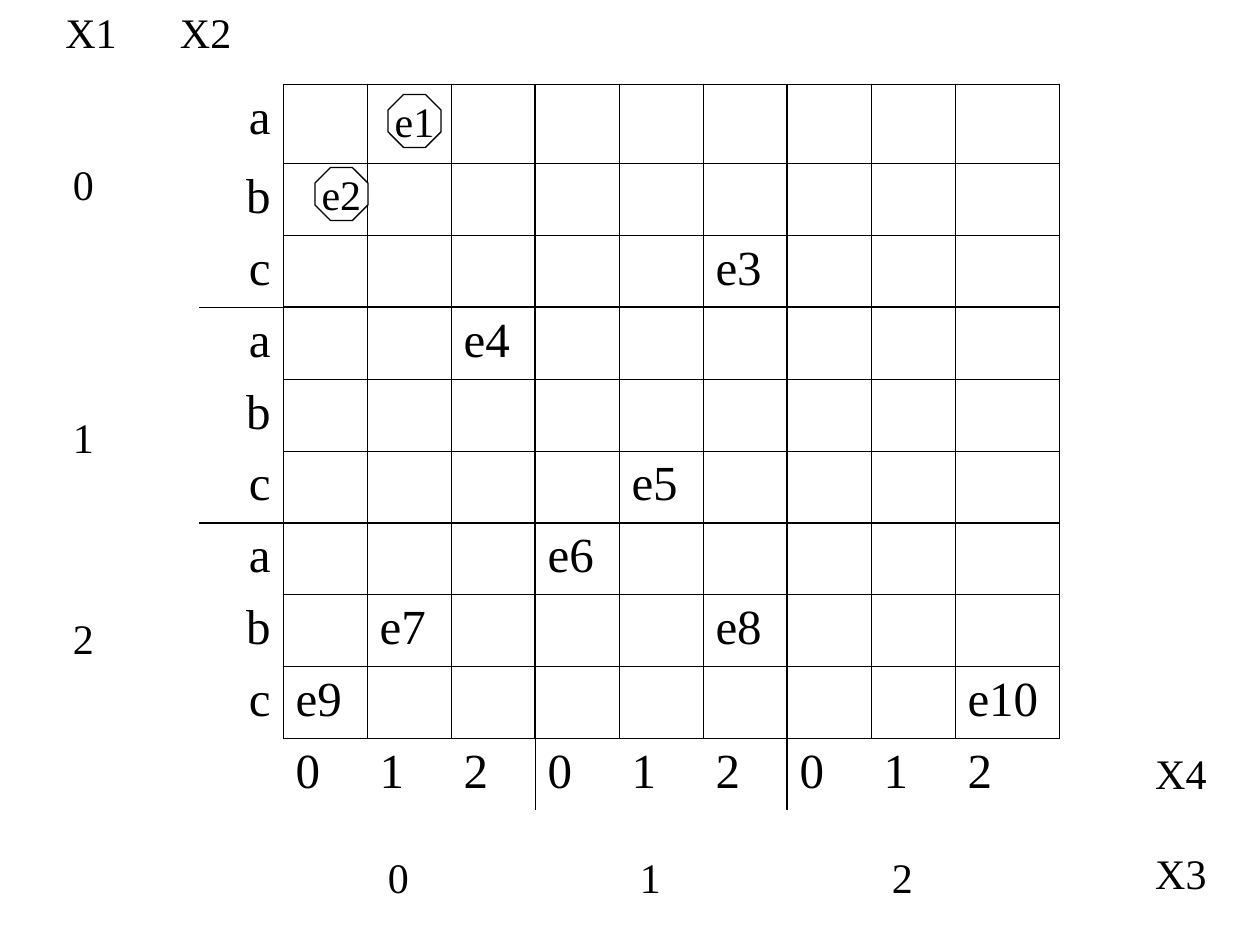
from lxml import etree
from pptx import Presentation
from pptx import util as u
from pptx.dml.color import RGBColor
from pptx.enum import shapes, text
from pptx.oxml import ns

COLORS = {"ink": "000000", "paper": "FFFFFF"}
FONT = {"name": "Times New Roman"}
LABEL = {**FONT, "size": u.Pt(24)}
ENTRY = {**FONT, "size": u.Pt(28)}
FLOATING = {"word_wrap": False, "auto_size": text.MSO_AUTO_SIZE.SHAPE_TO_FIT_TEXT}
FIXED = {"word_wrap": True, "auto_size": text.MSO_AUTO_SIZE.SHAPE_TO_FIT_TEXT}
CENTERED = {
    "word_wrap": False,
    "auto_size": text.MSO_AUTO_SIZE.NONE,
    "vertical_anchor": text.MSO_ANCHOR.MIDDLE,
}
SIZE = 10
THIN, MEDIUM, THICK = 0.45, 1.08, 1.47
EVENTS = {
    (2, 6): "e3", (3, 3): "e4", (5, 5): "e5", (6, 4): "e6",
    (7, 2): "e7", (7, 6): "e8", (8, 1): "e9", (8, 9): "e10",
}


def color(name):
    return RGBColor.from_string(COLORS[name])


def apply(target, values):
    for name, value in values.items():
        setattr(target, name, value)


def write(para, words, font):
    span = para.add_run()
    span.text = words
    apply(span.font, font)
    span.font.color.rgb = color("ink")


def vertical_width(row, edge):
    if edge == 0:
        return 0
    if row == SIZE - 1:
        return {4: THIN, 7: THICK}.get(edge, 0)
    return {4: THICK, 7: THICK, SIZE: MEDIUM}.get(edge, THIN)


def horizontal_width(edge, column):
    if column == 0:
        return {3: THIN, 6: THICK}.get(edge, 0)
    return {0: MEDIUM, 3: THICK, 6: THICK, SIZE: 0}.get(edge, THIN)


def set_border(cell, tag, points):
    properties = cell._tc.get_or_add_tcPr()
    line = etree.SubElement(properties, ns.qn(tag), w=str(int(u.Pt(points))))
    if points:
        fill = etree.SubElement(line, ns.qn("a:solidFill"))
        etree.SubElement(fill, ns.qn("a:srgbClr"), val=COLORS["ink"])
    else:
        etree.SubElement(line, ns.qn("a:noFill"))


def cell_text(row, column):
    if row == SIZE - 1:
        return str((column - 1) % 3) if column else ""
    if column == 0:
        return "abc"[row % 3]
    return EVENTS.get((row, column), "")


def fill_cell(cell, row, column):
    borders = {
        "a:lnL": vertical_width(row, column),
        "a:lnR": vertical_width(row, column + 1),
        "a:lnT": horizontal_width(row, column),
        "a:lnB": horizontal_width(row + 1, column),
    }
    for tag, points in borders.items():
        set_border(cell, tag, points)
    cell.fill.background()
    words = cell_text(row, column)
    if words:
        para = cell.text_frame.paragraphs[0]
        if column == 0:
            para.alignment = text.PP_ALIGN.RIGHT
        write(para, words, ENTRY)


def add_grid(page, left, top, width, height):
    table = page.shapes.add_table(SIZE, SIZE, left, top, width, height).table
    apply(table, {"first_row": False, "horz_banding": False})
    last_width, first_height = u.Inches(0.83), u.Inches(0.63)
    for column in table.columns:
        column.width = (width - last_width) // (SIZE - 1)
    table.columns[SIZE - 1].width = last_width
    for row in table.rows:
        row.height = (height - first_height) // (SIZE - 1)
    table.rows[0].height = first_height
    for row in range(SIZE):
        for column in range(SIZE):
            fill_cell(table.cell(row, column), row, column)


def add_marker(page, words, left, top, side):
    marker = page.shapes.add_shape(shapes.MSO_SHAPE.OCTAGON, left, top, side, side)
    marker.shadow.inherit = False
    marker.fill.solid()
    marker.fill.fore_color.rgb = color("paper")
    marker.line.color.rgb = color("ink")
    marker.line.width = u.Pt(0.75)
    apply(marker.text_frame, CENTERED)
    para = marker.text_frame.paragraphs[0]
    para.alignment = text.PP_ALIGN.CENTER
    write(para, words, LABEL)


def add_column_labels(page, entries, left, top, width, height):
    frame = page.shapes.add_textbox(left, top, width, height).text_frame
    apply(frame, FLOATING)
    for index, (words, gap) in enumerate(entries):
        para = frame.add_paragraph() if index else frame.paragraphs[0]
        if gap:
            para.space_before = u.Pt(gap)
        write(para, words, LABEL)


def add_row_labels(page, labels, step, left, top, width, height):
    frame = page.shapes.add_textbox(left, top, width, height).text_frame
    apply(frame, FIXED)
    para = frame.paragraphs[0]
    stops = etree.SubElement(para._p.get_or_add_pPr(), ns.qn("a:tabLst"))
    for index in range(1, len(labels)):
        etree.SubElement(stops, ns.qn("a:tab"), pos=str(step * index), algn="l")
    write(para, "\t".join(labels), LABEL)


def inches(*values):
    return [u.Inches(value) for value in values]


def main():
    deck = Presentation()
    deck.slide_width, deck.slide_height = inches(10, 7.5)
    page = deck.slides.add_slide(deck.slide_layouts[6])
    add_grid(page, *inches(1.58, 0.67, 6.83, 5.76))
    add_marker(page, "e1", *inches(3.08, 0.75, 0.42))
    add_marker(page, "e2", *inches(2.5, 1.33, 0.42))
    add_row_labels(page, ["X1", "X2"], u.Inches(0.91), *inches(0.42, 0, 1.92, 0.5))
    add_column_labels(page, [("0", 0), ("1", 116), ("2", 86)], *inches(0.48, 1.21, 0.36, 4.1))
    add_column_labels(page, [("X4", 0), ("X3", 28.5)], *inches(9.07, 5.88, 0.61, 1.3))
    add_row_labels(page, ["0", "1", "2"], u.Inches(2), *inches(2.98, 6.71, 4.45, 0.5))
    deck.save("out.pptx")


if __name__ == "__main__":
    main()
